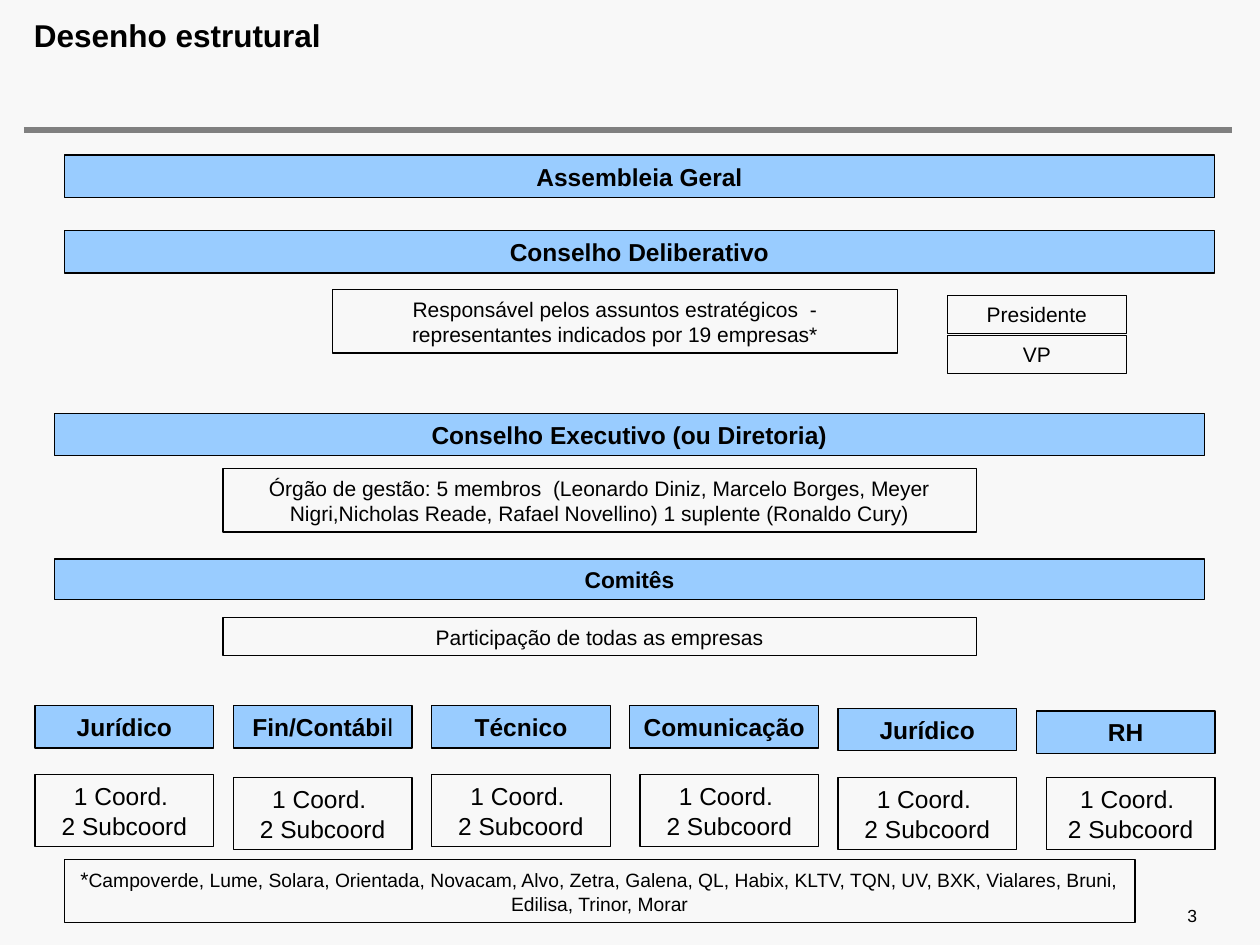
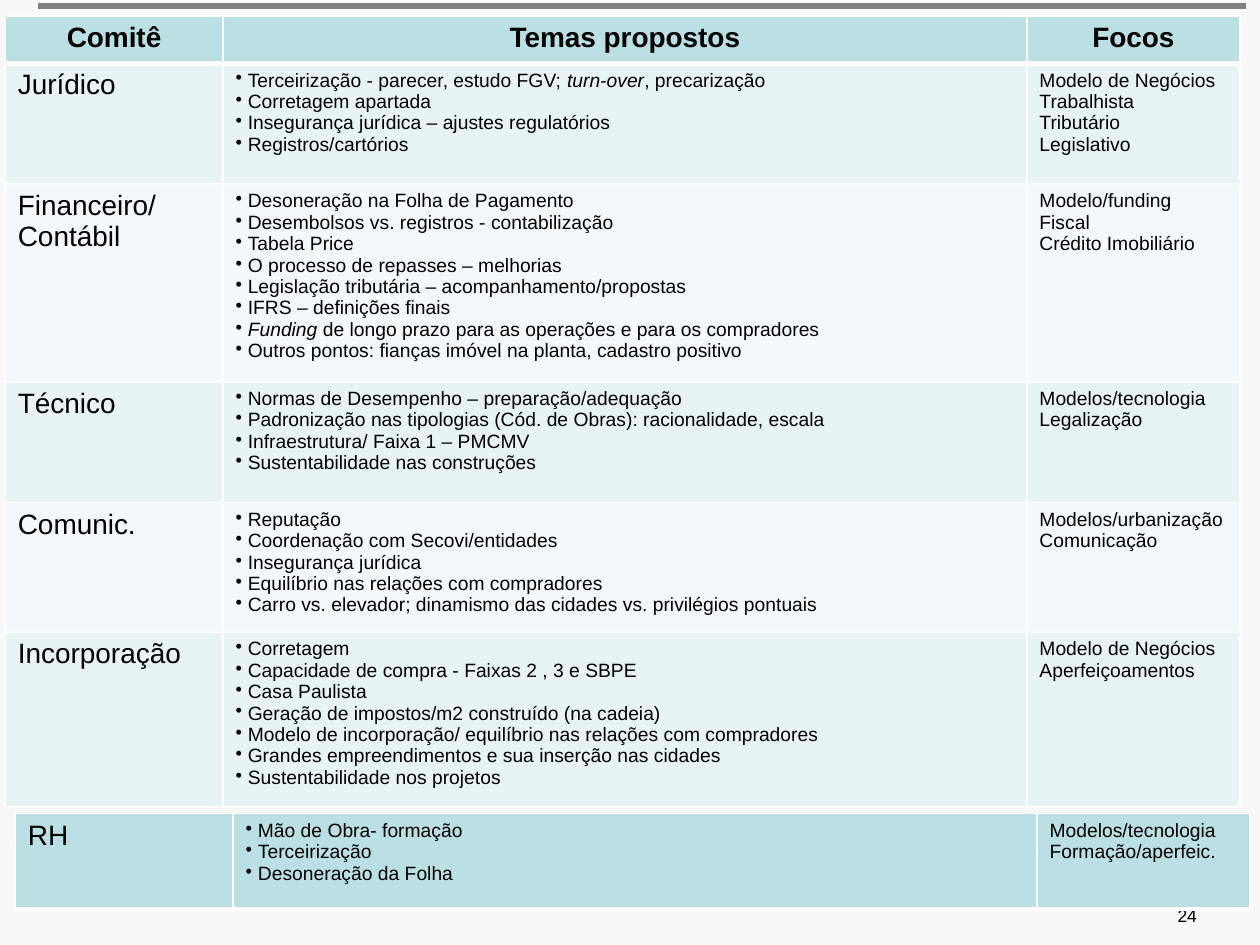
"""Build two slides on the structure and the committees of a trade body."""
from dataclasses import dataclass

from lxml import etree
from pptx import Presentation
from pptx.dml.color import RGBColor
from pptx.enum import shapes, text
from pptx.oxml import ns
from pptx.util import Pt

LEFT, MID, RIGHT = text.PP_ALIGN.LEFT, text.PP_ALIGN.CENTER, text.PP_ALIGN.RIGHT


@dataclass(frozen=True)
class Theme:
    font: str = "Arial"
    back: str = "F8F8F8"
    ink: str = "000000"
    rule: str = "808080"
    bar: str = "99CCFF"
    grid: str = "FFFFFF"
    head: str = "BBE0E3"
    odd: str = "E7F3F4"
    even: str = "F3F9FA"
    title: int = 18
    big: int = 16
    bold: int = 14
    mid: int = 13
    note: int = 12
    small: int = 11
    page: int = 10


def tint(code):
    return RGBColor.from_string(code)


def sub(node, tag, **attrs):
    return etree.SubElement(node, ns.qn(tag), attrs)


class Deck:
    def __init__(self, theme):
        self.look = theme
        self.file = Presentation()
        self.file.slide_width, self.file.slide_height = Pt(720), Pt(540)
        self.slide = None

    def start(self, number, x, y, title=None):
        layout = self.file.slide_layouts[5 if title else 6]
        self.slide = self.file.slides.add_slide(layout)
        fill = self.slide.background.fill
        fill.solid()
        fill.fore_color.rgb = tint(self.look.back)
        self.rule(x, y, 690.4)
        if title:
            self.title(title)
        self.number(number)

    def label(self, frame, lines, size, bold=False, align=LEFT, dots=False):
        frame.word_wrap = True
        for i, line in enumerate(lines):
            para = frame.paragraphs[0] if i == 0 else frame.add_paragraph()
            if dots:
                props = para._p.get_or_add_pPr()
                props.set("marL", str(Pt(7)))
                props.set("indent", str(Pt(-7)))
                sub(props, "a:buChar", char="•")
            para.alignment = align
            font = para.font
            font.name, font.size, font.bold = self.look.font, Pt(size), bold
            font.color.rgb = tint(self.look.ink)
            for words, style in [(line, {})] if isinstance(line, str) else line:
                run = para.add_run()
                run.text = words
                if "bold" in style:
                    run.font.bold = style["bold"]
                if "italic" in style:
                    run.font.italic = style["italic"]
                if "size" in style:
                    run.font.size = style["size"]

    def bare(self, frame, anchor):
        frame.margin_left = frame.margin_right = 0
        frame.margin_top = frame.margin_bottom = 0
        frame.vertical_anchor = anchor
        frame.auto_size = text.MSO_AUTO_SIZE.NONE

    def rule(self, x, y, width):
        line = self.slide.shapes.add_connector(
            shapes.MSO_CONNECTOR.STRAIGHT, Pt(x), Pt(y), Pt(x + width), Pt(y))
        line.line.color.rgb = tint(self.look.rule)
        line.line.width = Pt(3.2)
        sub(line._element.spPr, "a:effectLst")

    def title(self, words):
        box = self.slide.shapes.title
        box.left, box.top, box.width, box.height = map(Pt, (19.4, 11.5, 582.5, 19.4))
        self.bare(box.text_frame, text.MSO_ANCHOR.TOP)
        self.label(box.text_frame, [words], self.look.title, True)
        box.text_frame.paragraphs[0].line_spacing = 0.9

    def number(self, words):
        box = self.slide.shapes.add_textbox(*map(Pt, (515.5, 517, 168.5, 12.2)))
        self.bare(box.text_frame, text.MSO_ANCHOR.BOTTOM)
        self.label(box.text_frame, [words], self.look.page, align=RIGHT)

    def box(self, lines, x, y, width, height, size, fill=None):
        box = self.slide.shapes.add_shape(
            shapes.MSO_SHAPE.RECTANGLE, *map(Pt, (x, y, width, height)))
        box.shadow.inherit = False
        if fill:
            box.fill.solid()
            box.fill.fore_color.rgb = tint(fill)
        else:
            box.fill.background()
        box.line.color.rgb = tint(self.look.ink)
        box.line.width = Pt(0.75)
        self.label(box.text_frame, lines, size, bool(fill), MID)

    def bar(self, line, x, y, width=657.4, height=24.3, size=None):
        self.box([line], x, y, width, height, size or self.look.bold, self.look.bar)

    def note(self, line, x, y, width, height):
        self.box([line], x, y, width, height, self.look.note)

    def cell(self, cell, fill, base):
        props = cell._tc.get_or_add_tcPr()
        for side in "LRTB":
            wide = base if side == "B" else 1
            edge = sub(props, f"a:ln{side}", w=str(Pt(wide)))
            sub(sub(edge, "a:solidFill"), "a:srgbClr", val=self.look.grid)
        cell.fill.solid()
        cell.fill.fore_color.rgb = tint(fill)

    def table(self, x, y, rows, heights, fills, head=None):
        look = self.look
        data = ([head] if head else []) + rows
        widths = (124.4, 459.4, 121.8)
        grid = self.slide.shapes.add_table(
            len(data), 3, Pt(x), Pt(y), Pt(sum(widths)), Pt(sum(heights))).table
        grid.first_row = grid.horz_banding = False
        for col, width in zip(grid.columns, widths):
            col.width = Pt(width)
        for r, (row, height, fill) in enumerate(zip(data, heights, fills)):
            grid.rows[r].height = Pt(height)
            top = row is head
            for c, lines in enumerate(row):
                cell = grid.cell(r, c)
                self.cell(cell, fill, 3 if fill == look.head else 1)
                size = look.big if top or c == 0 else look.small
                self.label(cell.text_frame, lines, size, top,
                           MID if top else LEFT, c == 1 and not top)


def chart(deck):
    """Draw the structure of the body."""
    look = deck.look
    deck.start("3", 13.7, 74.2, "Desenho estrutural")
    deck.bar("Assembleia Geral", 36.7, 88.6)
    deck.bar("Conselho Deliberativo", 36.7, 131.8)
    deck.note("Responsável pelos assuntos estratégicos  - representantes "
              "indicados por 19 empresas*", 190, 165.5, 323, 36.3)
    for i, role in enumerate(("Presidente", "VP")):
        deck.note(role, 541.4, 168.8 + 22.8 * i, 102.2, 21.8)
    deck.bar("Conselho Executivo (ou Diretoria)", 31, 236.2)
    deck.note("Órgão de gestão: 5 membros  (Leonardo Diniz, Marcelo Borges, Meyer "
              "Nigri,Nicholas Reade, Rafael Novellino) 1 suplente (Ronaldo Cury)",
              127.4, 267.8, 430.6, 36.3)
    deck.bar("Comitês", 31, 319.5, height=23, size=look.mid)
    deck.note("Participação de todas as empresas", 127.4, 353, 430.6, 21.8)

    units = [
        ("Jurídico", 102.2, 403.2, 0, 442.6),
        ([("Fin/Contábi", {}), ("l", {"bold": False})], 102.2, 403.2, 0, 444.4),
        ("Técnico", 102.2, 403.2, 0, 442.6),
        ("Comunicação", 108, 403.2, 5.8, 442.6),
        ("Jurídico", 102.2, 404.8, 0, 444.4),
        ("RH", 102.2, 406.2, 5.8, 444.4),
    ]
    for i, (name, width, top, inset, low) in enumerate(units):
        x = 20 + 113.3 * i + (5.6 if i > 3 else 0)
        deck.bar(name, x, top, width)
        deck.box(["1 Coord. ", "2 Subcoord"], x + inset, low, width - inset, 41.2,
                 look.bold)

    firms = ("Campoverde, Lume, Solara, Orientada, Novacam, Alvo, Zetra, Galena, QL, "
             "Habix, KLTV, TQN, UV, BXK, Vialares, Bruni, Edilisa, Trinor, Morar")
    deck.note([("*", {}), (firms, {"size": Pt(look.small)})], 36.7, 491, 612, 36.3)


def topics(deck):
    """Draw the tables of committee topics."""
    look = deck.look
    slant = {"italic": True}
    deck.start("24", 21.6, 3.6)
    head = (["Comitê"], ["Temas propostos"], ["Focos"])
    rows = [
        (["Jurídico"],
         [[("Terceirização - parecer, estudo FGV; ", {}), ("turn-over", slant),
           (", precarização", {})],
          "Corretagem apartada",
          "Insegurança jurídica – ajustes regulatórios",
          "Registros/cartórios"],
         ["Modelo de Negócios", "Trabalhista", "Tributário", "Legislativo"]),
        (["Financeiro/", "Contábil"],
         ["Desoneração na Folha de Pagamento",
          "Desembolsos vs. registros - contabilização",
          "Tabela Price",
          "O processo de repasses – melhorias",
          "Legislação tributária – acompanhamento/propostas",
          "IFRS – definições finais",
          [("Funding", slant),
           (" de longo prazo para as operações e para os compradores", {})],
          "Outros pontos: fianças imóvel na planta, cadastro positivo"],
         ["Modelo/funding", "Fiscal", "Crédito Imobiliário"]),
        (["Técnico"],
         ["Normas de Desempenho – preparação/adequação",
          "Padronização nas tipologias (Cód. de Obras): racionalidade, escala",
          "Infraestrutura/ Faixa 1 – PMCMV",
          "Sustentabilidade nas construções"],
         ["Modelos/tecnologia", "Legalização"]),
        (["Comunic."],
         ["Reputação",
          "Coordenação com Secovi/entidades",
          "Insegurança jurídica",
          "Equilíbrio nas relações com compradores",
          "Carro vs. elevador; dinamismo das cidades vs. privilégios pontuais"],
         ["Modelos/urbanização", "Comunicação"]),
        (["Incorporação"],
         ["Corretagem",
          "Capacidade de compra - Faixas 2 , 3 e SBPE",
          "Casa Paulista",
          "Geração de impostos/m2 construído (na cadeia)",
          "Modelo de incorporação/ equilíbrio nas relações com compradores",
          "Grandes empreendimentos e sua inserção nas cidades",
          "Sustentabilidade nos projetos"],
         ["Modelo de Negócios", "Aperfeiçoamentos"]),
    ]
    staff = (["RH"],
             ["Mão de Obra- formação", "Terceirização", "Desoneração da Folha"],
             ["Modelos/tecnologia", "Formação/aperfeic."])
    fills = [look.head, look.odd, look.even, look.odd, look.even, look.odd]
    deck.table(3, 9.2, rows, (27, 69, 113, 69, 74, 100), fills, head)
    deck.table(8.8, 465, [staff], (54.5,), [look.head])


def main():
    deck = Deck(Theme())
    chart(deck)
    topics(deck)
    deck.file.save("out.pptx")


if __name__ == "__main__":
    main()
